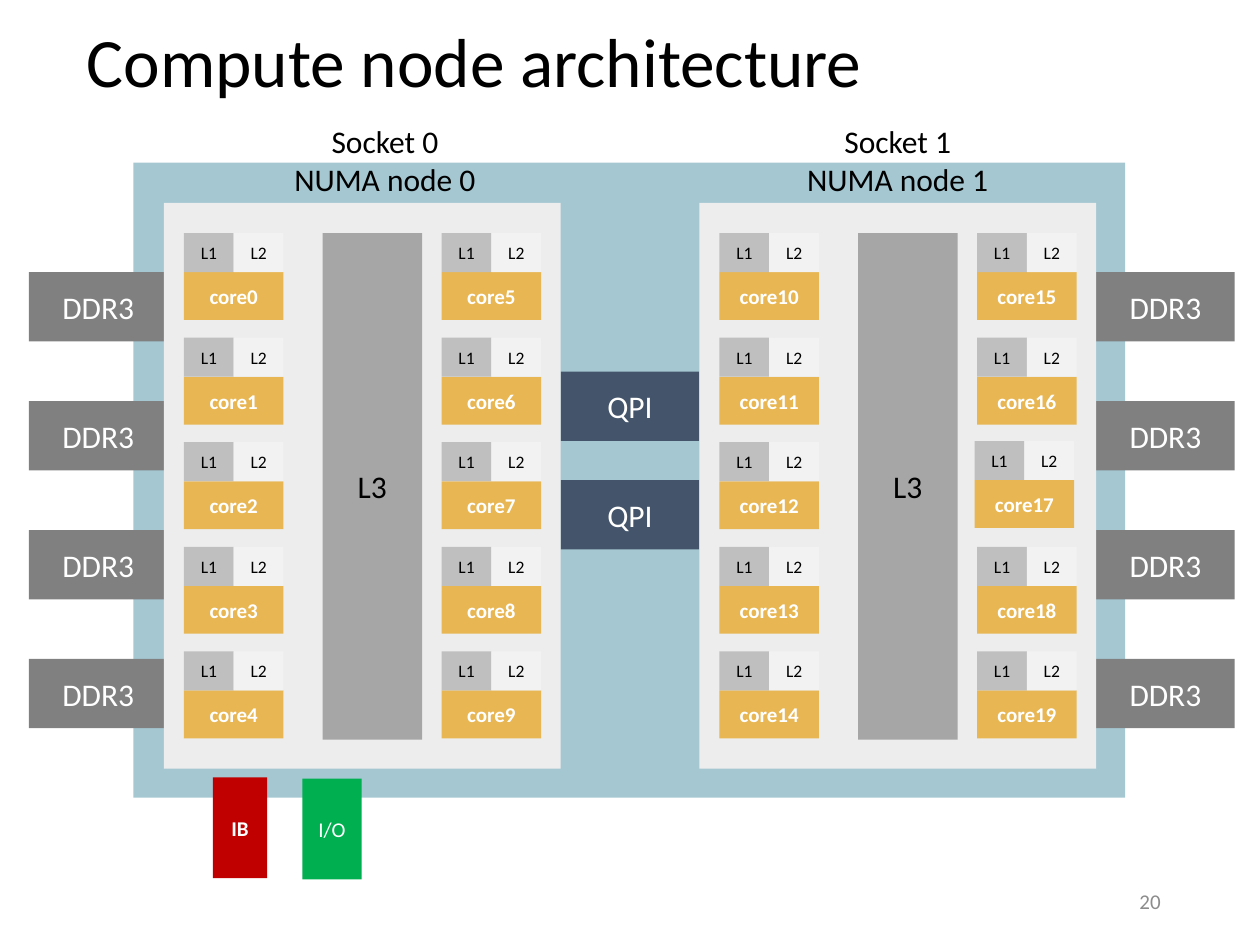
from lxml.etree import SubElement
from pptx import Presentation
from pptx.dml.color import RGBColor
from pptx.enum.shapes import MSO_SHAPE
from pptx.enum.text import MSO_ANCHOR, PP_ALIGN
from pptx.oxml.ns import qn
from pptx.util import Inches, Pt

TITLE = "Compute node architecture"
PAGE = "20"
SOCKETS = [
    {"left": 1.3, "label": ["Socket 0", "NUMA node 0"], "first": 0},
    {"left": 5.55, "label": ["Socket 1", "NUMA node 1"], "first": 10},
]
ROWS = 5
BANKS = [0.23, 8.7]
DIMMS = 4
LINKS = [2.95, 3.81]
PORTS = [
    ("IB", (1.69, 6.17, 0.43, 0.8), "infini", True),
    ("I/O", (2.4, 6.18, 0.47, 0.8), "io", False),
]
NUDGE = {17: (-0.02, -0.01)}

THEME = {
    "font": "Calibri",
    "color": {
        "board": "116E8A", "memory": "808080", "link": "44546A",
        "socket": "EDEDED", "l3": "A6A6A6", "core": "E8B652",
        "l1": "BFBFBF", "l2": "F2F2F2", "infini": "C00000", "io": "00B050",
        "dark": "000000", "light": "FFFFFF", "page": "8C8C8C",
    },
    "size": {"title": 39.6, "label": 18, "core": 12, "cache": 10},
}

# Offsets inside a socket, and the sizes of its parts
TOP = 1.61
INSET = 0.24
COLUMNS = (0.16, 2.205)
PITCH = 0.83
CORE_W, CORE_H = 0.79, 0.38
CACHE_W, CACHE_H = CORE_W / 2, 0.31
CHIP_W, CHIP_H = 1.1, 0.55
DIMM_TOP, DIMM_GAP = 2.16, 3.07 / 3


def tint(name):
    return RGBColor.from_string(THEME["color"][name])


def write(shape, lines, size, color, bold=False, align=PP_ALIGN.CENTER):
    frame = shape.text_frame
    frame.text = "\n".join(lines)
    for para in frame.paragraphs:
        para.alignment = align
        for run in para.runs:
            font = run.font
            font.name = THEME["font"]
            font.size = Pt(THEME["size"][size])
            font.bold = bold
            font.color.rgb = tint(color)


def block(shapes, spot, fill, text="", size="label", color="light", bold=False):
    """Add a flat rectangle at spot, with a centred label if text is given."""
    shape = shapes.add_shape(MSO_SHAPE.RECTANGLE, *map(Inches, spot))
    shape.shadow.inherit = False
    shape.fill.solid()
    shape.fill.fore_color.rgb = tint(fill)
    shape.line.fill.background()
    if text:
        frame = shape.text_frame
        frame.margin_left = frame.margin_right = 0
        frame.vertical_anchor = MSO_ANCHOR.MIDDLE
        write(shape, [text], size, color, bold)
    return shape


def caption(shapes, spot, lines, size, color, align, anchor=MSO_ANCHOR.MIDDLE):
    box = shapes.add_textbox(*map(Inches, spot))
    box.text_frame.word_wrap = True
    box.text_frame.vertical_anchor = anchor
    write(box, lines, size, color, align=align)
    return box


def add_core(shapes, left, top, number):
    """Add a core with its L1 and L2 caches above it."""
    block(shapes, (left, top + CACHE_H, CORE_W, CORE_H), "core",
          f"core{number}", "core", bold=True)
    for i, name in enumerate(("L1", "L2")):
        spot = (left + i * CACHE_W, top, CACHE_W, CACHE_H)
        block(shapes, spot, name.lower(), name, "cache", "dark")


def add_socket(shapes, left, first):
    group = shapes.add_group_shape().shapes
    block(group, (left, TOP, 3.15, 4.49), "socket")
    block(group, (left + 1.26, TOP + INSET, CORE_W, 4.02), "l3",
          "L3", color="dark")
    for i in range(len(COLUMNS) * ROWS):
        col, row = divmod(i, ROWS)
        dx, dy = NUDGE.get(first + i, (0, 0))
        add_core(group, left + COLUMNS[col] + dx,
                 TOP + INSET + row * PITCH + dy, first + i)


def main():
    deck = Presentation()
    deck.slide_width, deck.slide_height = Inches(10), Inches(7.5)
    shapes = deck.slides.add_slide(deck.slide_layouts[6]).shapes

    title = caption(shapes, (0.59, 0.2, 9.11, 0.64), [TITLE], "title", "dark",
                    PP_ALIGN.LEFT)
    title.text_frame.paragraphs[0].line_spacing = 0.9

    board = block(shapes, (1.06, 1.29, 7.87, 5.04), "board")
    shade = board.fill._xPr.find(".//" + qn("a:srgbClr"))
    SubElement(shade, qn("a:alpha"), val="38000")

    for left in BANKS:
        bank = shapes.add_group_shape().shapes
        for i in range(DIMMS):
            spot = (left, DIMM_TOP + i * DIMM_GAP, CHIP_W, CHIP_H)
            block(bank, spot, "memory", "DDR3")
    for top in LINKS:
        block(shapes, (4.45, top, CHIP_W, CHIP_H), "link", "QPI")

    for socket in SOCKETS:
        left = socket["left"]
        caption(shapes, (left + 0.83 - 0.18 * (left > 5), 0.92, 1.85, 1.01),
                socket["label"], "label", "dark", PP_ALIGN.CENTER,
                MSO_ANCHOR.TOP)
    for socket in SOCKETS:
        add_socket(shapes, socket["left"], socket["first"])

    for text, spot, fill, bold in PORTS:
        block(shapes, spot, fill, text, "core", bold=bold)
    caption(shapes, (7.06, 6.95, 2.25, 0.4), [PAGE], "core", "page",
            PP_ALIGN.RIGHT)
    deck.save("out.pptx")


if __name__ == "__main__":
    main()
